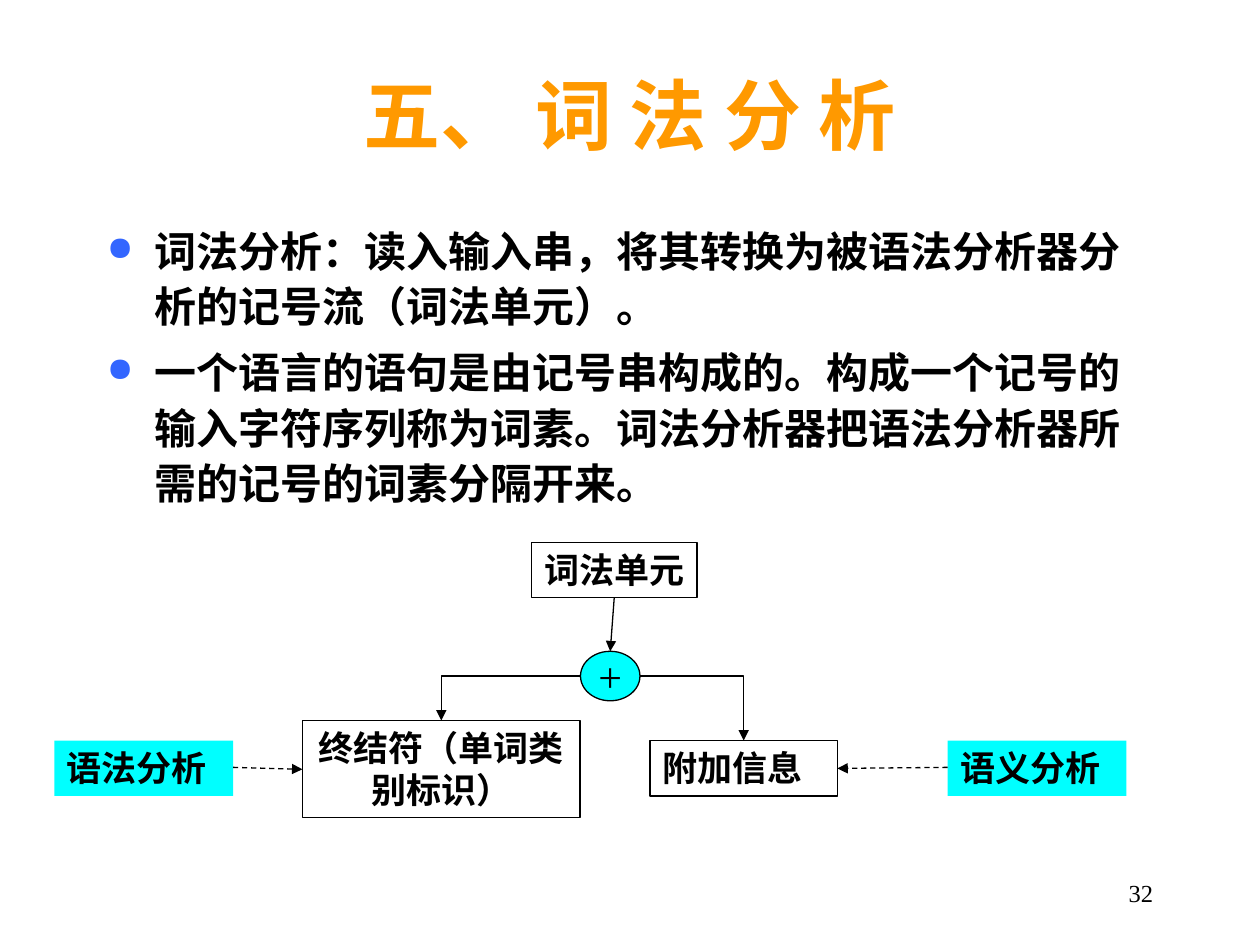
from lxml import etree
from pptx import Presentation
from pptx.dml.color import RGBColor
from pptx.enum import dml, shapes, text
from pptx.oxml import ns
from pptx.util import Pt

C = {"title": "FF9900", "bullet": "3366FF", "ink": "000000", "cyan": "00FFFF"}
SERIF = "Times New Roman"
LEFT, CENTER, RIGHT = text.PP_ALIGN.LEFT, text.PP_ALIGN.CENTER, text.PP_ALIGN.RIGHT
TOP, MIDDLE = text.MSO_ANCHOR.TOP, text.MSO_ANCHOR.MIDDLE
STRAIGHT, ELBOW = shapes.MSO_CONNECTOR.STRAIGHT, shapes.MSO_CONNECTOR.ELBOW
RECT, OVAL = shapes.MSO_SHAPE.RECTANGLE, shapes.MSO_SHAPE.OVAL


def add_node(parent, tag, **attrs):
    node = etree.SubElement(parent, ns.qn(tag))
    for key, value in attrs.items():
        node.set(key, value)
    return node


def write(sp, words, size, align=LEFT, anchor=TOP, bold=True, font=SERIF, color="ink", wrap=True):
    tf = sp.text_frame
    tf.text = words
    tf.word_wrap = wrap
    tf.vertical_anchor = anchor
    for p in tf.paragraphs:
        p.alignment = align
        for r in p.runs:
            r.font.size = Pt(size)
            r.font.name = font
            r.font.bold = bold
            r.font.color.rgb = RGBColor.from_string(C[color])
    return tf


prs = Presentation()
prs.slide_width, prs.slide_height = Pt(720), Pt(540)
s = prs.slides.add_slide(prs.slide_layouts[6])

title = s.shapes.add_textbox(Pt(54), Pt(20), Pt(612), Pt(90))
write(title, "五、 词 法 分 析", 44, CENTER, MIDDLE, font="Arial", color="title")

body = s.shapes.add_textbox(Pt(54), Pt(122.4), Pt(612), Pt(187))
tf = write(body, "词法分析：读入输入串，将其转换为被语法分析器分析的记号流（词法单元）。\n"
           "一个语言的语句是由记号串构成的。构成一个记号的输入字符序列称为词素。"
           "词法分析器把语法分析器所需的记号的词素分隔开来。", 24)
for p in tf.paragraphs:
    pPr = p._p.get_or_add_pPr()
    pPr.set("marL", str(Pt(27)))
    pPr.set("indent", str(-Pt(27)))
    add_node(add_node(pPr, "a:buClr"), "a:srgbClr", val=C["bullet"])
    add_node(pPr, "a:buSzPct", val="80000")
    add_node(pPr, "a:buChar", char="●")
    p.line_spacing = 1.1
tf.paragraphs[1].space_before = Pt(6)

nodes = [
    (RECT, "词法单元", 303.8, 309.9, 94.6, 31.7, None, True, LEFT, False),
    (RECT, "终结符（单词类别标识）", 172.8, 411.8, 158.7, 55.4, None, True, CENTER, True),
    (RECT, "附加信息", 371.5, 423.2, 107, 31.7, None, True, LEFT, True),
    (OVAL, "+", 331.7, 372.2, 34, 28.3, "cyan", True, CENTER, False),
    (RECT, "语法分析", 31, 423.2, 102.2, 31.7, "cyan", False, LEFT, True),
    (RECT, "语义分析", 541.5, 423.2, 102.2, 31.7, "cyan", False, LEFT, True),
]
for kind, words, x, y, w, h, fill, outlined, align, wrap in nodes:
    sp = s.shapes.add_shape(kind, Pt(x), Pt(y), Pt(w), Pt(h))
    sp.shadow.inherit = False
    if fill:
        sp.fill.solid()
        sp.fill.fore_color.rgb = RGBColor.from_string(C[fill])
    else:
        sp.fill.background()
    if outlined:
        sp.line.color.rgb = RGBColor.from_string(C["ink"])
        sp.line.width = Pt(0.75)
    else:
        sp.line.fill.background()
    if kind == OVAL:
        write(sp, words, 24, align, MIDDLE, bold=False, wrap=wrap)
    else:
        tf = write(sp, words, 20, align, wrap=wrap)
        tf.auto_size = text.MSO_AUTO_SIZE.SHAPE_TO_FIT_TEXT

arrows = [
    (ELBOW, 331.7, 386.4, 252.2, 411.8, False),
    (ELBOW, 365.7, 386.4, 425, 423.2, False),
    (STRAIGHT, 351, 341.6, 348.7, 372.2, False),
    (STRAIGHT, 133.2, 438.5, 172.8, 439.6, True),
    (STRAIGHT, 541.5, 438.5, 478.5, 439.1, True),
]
for kind, x1, y1, x2, y2, dashed in arrows:
    c = s.shapes.add_connector(kind, Pt(x1), Pt(y1), Pt(x2), Pt(y2))
    c.line.color.rgb = RGBColor.from_string(C["ink"])
    c.line.width = Pt(0.75)
    if dashed:
        c.line.dash_style = dml.MSO_LINE.DASH
    spPr = c._element.spPr
    if kind == ELBOW:
        spPr.find(ns.qn("a:prstGeom")).set("prst", "bentConnector2")
    add_node(spPr.find(ns.qn("a:ln")), "a:tailEnd", type="triangle")
    add_node(spPr, "a:effectLst")

number = s.shapes.add_textbox(Pt(516), Pt(492), Pt(150), Pt(36))
write(number, "32", 14, RIGHT, MIDDLE, bold=False)

prs.save("out.pptx")
